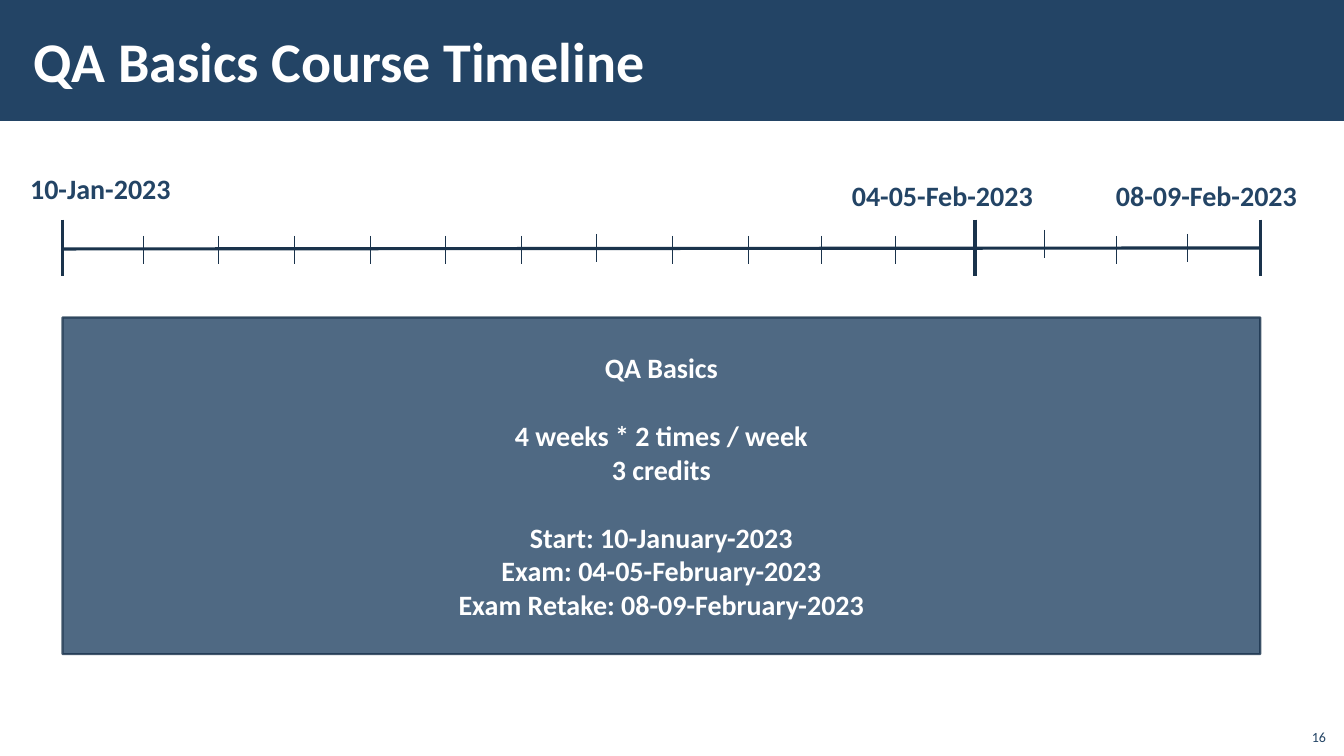
from pptx import Presentation
from pptx.dml.color import RGBColor
from pptx.enum import shapes, text
from pptx.oxml.ns import qn
from pptx.util import Inches, Pt
from lxml import etree

# Content
TITLE = "QA Basics Course Timeline"
PAGE_NUMBER = "16"
DATE_LABELS = [  # text, left, top, width, wrap
    ("10-Jan-2023", 0.2, 1.65, 1.61, False),
    ("04-05-Feb-2023", 8.35, 1.72, 2.01, False),
    ("08-09-Feb-2023", 10.97, 1.72, 2.17, True),
]
COURSE_GROUPS = [
    ["QA Basics"],
    ["4 weeks * 2 times / week", "3 credits"],
    ["Start: 10-January-2023", "Exam: 04-05-February-2023",
     "Exam Retake: 08-09-February-2023"],
]

# Timeline geometry in inches
START, EXAM, RETAKE = 0.62, 9.67, 12.5
MILESTONE_TOP, MILESTONE_HEIGHT = 2.18, 0.56
TICK_TOP, TICK_HEIGHT = 2.34, 0.28
TICK_RUNS = [(1.42, 0.75, 9), (8.15, 0.73, 2), (10.36, 0.71, 3)]  # first, step, count
RAISED_TICKS = {5.92: 2.32, 10.36: 2.28, 11.78: 2.32}

THEME = {
    "font": "Calibri",
    "navy": RGBColor.from_string("234465"),
    "line": RGBColor.from_string("1A334C"),
    "white": RGBColor.from_string("FFFFFF"),
    "title": Pt(40), "body": Pt(20), "number": Pt(10),
    "blank_line": Pt(24.4),
    "thick": Pt(2.25), "border": Pt(1.5), "thin": Pt(0.5),
    "opacity": 80,
}


def style(paragraph, size, color, bold=True, align=text.PP_ALIGN.LEFT):
    font = paragraph.font
    font.name, font.size, font.bold = THEME["font"], size, bold
    font.color.rgb = color
    paragraph.alignment = align


def add_text(slide, words, box, size, color, wrap=True,
             anchor=text.MSO_ANCHOR.TOP, **options):
    shape = slide.shapes.add_textbox(*map(Inches, box))
    frame = shape.text_frame
    frame.word_wrap, frame.vertical_anchor = wrap, anchor
    frame.text = words
    style(frame.paragraphs[0], size, color, **options)
    return frame


def add_rectangle(slide, box):
    shape = slide.shapes.add_shape(shapes.MSO_SHAPE.RECTANGLE, *map(Inches, box))
    shape.shadow.inherit = False
    shape.fill.solid()
    shape.fill.fore_color.rgb = THEME["navy"]
    return shape


def add_line(slide, x1, y1, x2, y2, width):
    connector = slide.shapes.add_connector(
        shapes.MSO_CONNECTOR.STRAIGHT, *map(Inches, (x1, y1, x2, y2)))
    connector.line.color.rgb = THEME["line"]
    connector.line.width = width
    etree.SubElement(connector._element.spPr, qn("a:effectLst"))


def add_course_box(slide):
    shape = add_rectangle(slide, (START, 3.15, RETAKE - START, 3.34))
    shape.line.color.rgb = THEME["line"]
    shape.line.width = THEME["border"]
    for color in shape._element.spPr.iter(qn("a:srgbClr")):
        etree.SubElement(color, qn("a:alpha"), val=str(THEME["opacity"] * 1000))
    frame = shape.text_frame
    frame.word_wrap, frame.vertical_anchor = True, text.MSO_ANCHOR.MIDDLE
    frame.text = "\n".join(line for group in COURSE_GROUPS for line in group)
    group_starts = {group[0] for group in COURSE_GROUPS[1:]}
    for paragraph in frame.paragraphs:
        style(paragraph, THEME["body"], THEME["white"], align=text.PP_ALIGN.CENTER)
        if paragraph.text in group_starts:
            paragraph.space_before = THEME["blank_line"]


def add_timeline(slide):
    add_line(slide, START, 2.47, RETAKE, 2.46, THEME["thick"])
    for x in (START, EXAM, RETAKE):
        add_line(slide, x, MILESTONE_TOP, x, MILESTONE_TOP + MILESTONE_HEIGHT,
                 THEME["thick"])
    for first, step, count in TICK_RUNS:
        for index in range(count):
            x = round(first + index * step, 2)
            top = RAISED_TICKS.get(x, TICK_TOP)
            add_line(slide, x, top, x, top + TICK_HEIGHT, THEME["thin"])


def main():
    presentation = Presentation()
    presentation.slide_width, presentation.slide_height = Inches(13.33), Inches(7.5)
    slide = presentation.slides.add_slide(presentation.slide_layouts[6])

    # Header
    add_rectangle(slide, (0, 0, 13.33, 1.2)).line.fill.background()
    title = add_text(slide, TITLE, (0.21, 0.11, 10.63, 0.97), THEME["title"],
                     THEME["white"], anchor=text.MSO_ANCHOR.MIDDLE)
    title.margin_left = title.margin_right = Inches(0.12)
    title.margin_top = title.margin_bottom = Inches(0.04)

    # Timeline and its dates
    for words, left, top, width, wrap in DATE_LABELS:
        add_text(slide, words, (left, top, width, 0.44), THEME["body"],
                 THEME["navy"], wrap=wrap)
    add_timeline(slide)

    # Course details and page number
    add_course_box(slide)
    add_text(slide, PAGE_NUMBER, (12.85, 7.12, 0.4, 0.32), THEME["number"],
             THEME["navy"], anchor=text.MSO_ANCHOR.BOTTOM, bold=False,
             align=text.PP_ALIGN.RIGHT)

    presentation.save("out.pptx")


if __name__ == "__main__":
    main()
